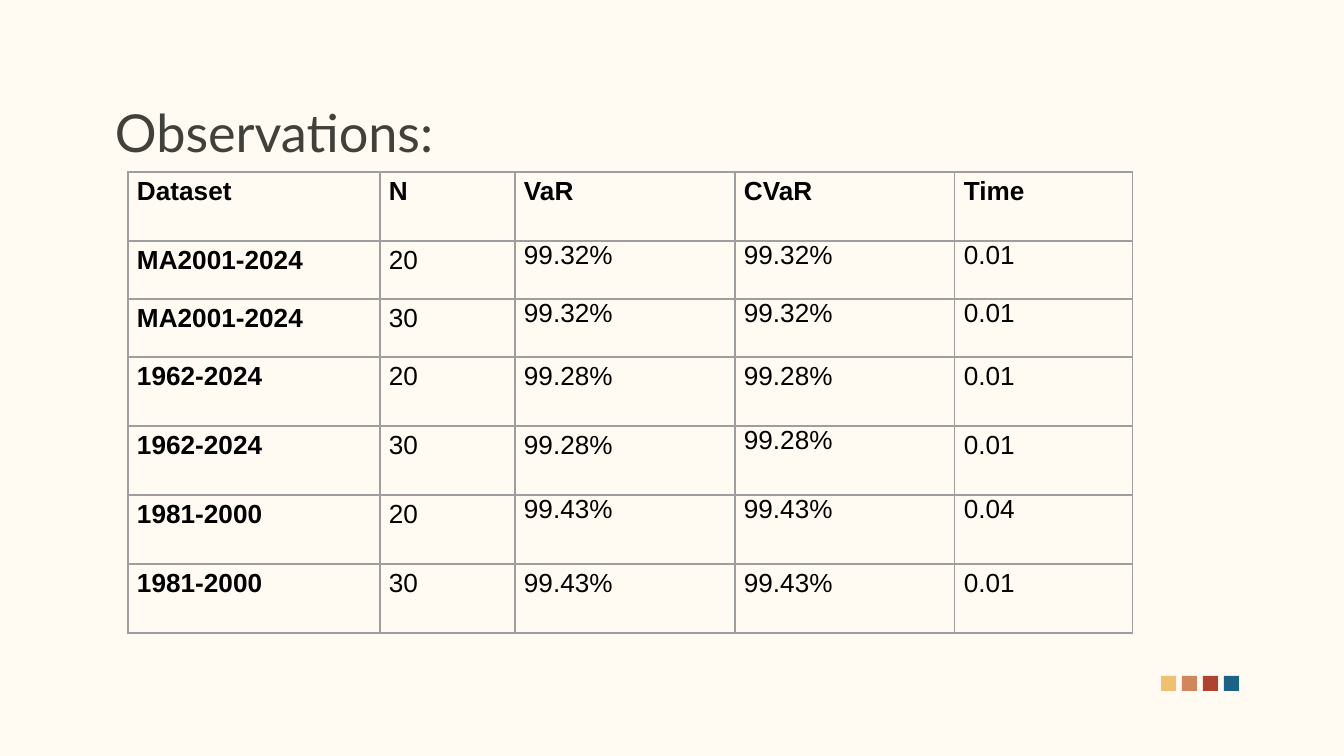
from dataclasses import dataclass

from lxml import etree
from pptx import Presentation
from pptx import util as u
from pptx.dml.color import RGBColor
from pptx.enum import shapes, text
from pptx.oxml import ns

EMU_PER_PX = 914400 / 134.4


@dataclass(frozen=True)
class Theme:
    background: str = "FFFAF2"
    title_color: str = "41403A"
    table_color: str = "000000"
    border: str = "9E9E9E"
    accents: tuple[str, ...] = ("EFC070", "D1875A", "AE442F", "1A6386")
    title_font: str = "Lato"
    table_font: str = "Arial"
    title_pt: int = 28
    table_pt: int = 14
    border_pt: float = 0.75


@dataclass(frozen=True)
class Row:
    values: tuple[str, ...]
    height: int = 69
    tight: tuple[int, ...] = ()


THEME = Theme()
COLUMNS = (252, 135, 220, 220, 178)
ROWS = (
    Row(("Dataset", "N", "VaR", "CVaR", "Time")),
    Row(("MA2001-2024", "20", "99.32%", "99.32%", "0.01"), 58, (2, 3, 4)),
    Row(("MA2001-2024", "30", "99.32%", "99.32%", "0.01"), 58, (2, 3, 4)),
    Row(("1962-2024", "20", "99.28%", "99.28%", "0.01")),
    Row(("1962-2024", "30", "99.28%", "99.28%", "0.01"), tight=(3,)),
    Row(("1981-2000", "20", "99.43%", "99.43%", "0.04"), tight=(2, 3, 4)),
    Row(("1981-2000", "30", "99.43%", "99.43%", "0.01")),
)


def px(n: int) -> int:
    return u.Emu(round(n * EMU_PER_PX))


def rgb(color: str) -> RGBColor:
    return RGBColor.from_string(color)


def add_run(p, words: str, font: str, size: int, color: str, bold: bool = False) -> None:
    r = p.add_run()
    r.text = words
    r.font.name = font
    r.font.size = u.Pt(size)
    r.font.bold = bold
    r.font.color.rgb = rgb(color)


def add_title(s, words: str) -> None:
    tf = s.shapes.add_textbox(px(102), px(87), px(667), px(85)).text_frame
    tf.word_wrap = True
    tf.margin_left = tf.margin_right = tf.margin_top = tf.margin_bottom = px(13)
    add_run(tf.paragraphs[0], words, THEME.title_font, THEME.title_pt, THEME.title_color)


def add_accents(s) -> None:
    for i, color in enumerate(THEME.accents):
        sp = s.shapes.add_shape(
            shapes.MSO_SHAPE.RECTANGLE, px(1161 + 21 * i), px(676), px(15), px(15)
        )
        sp.shadow.inherit = False
        sp.fill.solid()
        sp.fill.fore_color.rgb = rgb(color)
        sp.line.fill.background()


def set_borders(cell) -> None:
    tc_pr = cell._tc.get_or_add_tcPr()
    for side in ("a:lnL", "a:lnR", "a:lnT", "a:lnB"):
        ln = etree.SubElement(tc_pr, ns.qn(side), w=str(u.Pt(THEME.border_pt)))
        fill = etree.SubElement(ln, ns.qn("a:solidFill"))
        etree.SubElement(fill, ns.qn("a:srgbClr"), val=THEME.border)


def fill_cell(cell, words: str, bold: bool, tight: bool) -> None:
    set_borders(cell)
    cell.fill.background()
    cell.margin_left = cell.margin_right = px(9)
    cell.margin_top = cell.margin_bottom = 0
    p = cell.text_frame.paragraphs[0]
    if not tight:
        p.alignment = text.PP_ALIGN.JUSTIFY
        p.line_spacing = 1.15
        p.space_after = u.Pt(10)
    add_run(p, words, THEME.table_font, THEME.table_pt, THEME.table_color, bold)


def add_results(s, rows: tuple[Row, ...]) -> None:
    height = sum(row.height for row in rows)
    table = s.shapes.add_table(
        len(rows), len(COLUMNS), px(128), px(172), px(sum(COLUMNS)), px(height)
    ).table
    table.first_row = table.horz_banding = False
    for column, width in zip(table.columns, COLUMNS):
        column.width = px(width)
    for i, row in enumerate(rows):
        table.rows[i].height = px(row.height)
        for j, words in enumerate(row.values):
            fill_cell(table.cell(i, j), words, i == 0 or j == 0, j in row.tight)


def main() -> None:
    prs = Presentation()
    prs.slide_width, prs.slide_height = px(1344), px(756)
    s = prs.slides.add_slide(prs.slide_layouts[6])
    s.background.fill.solid()
    s.background.fill.fore_color.rgb = rgb(THEME.background)
    add_accents(s)
    add_title(s, "Observations:")
    add_results(s, ROWS)
    prs.save("out.pptx")


if __name__ == "__main__":
    main()
